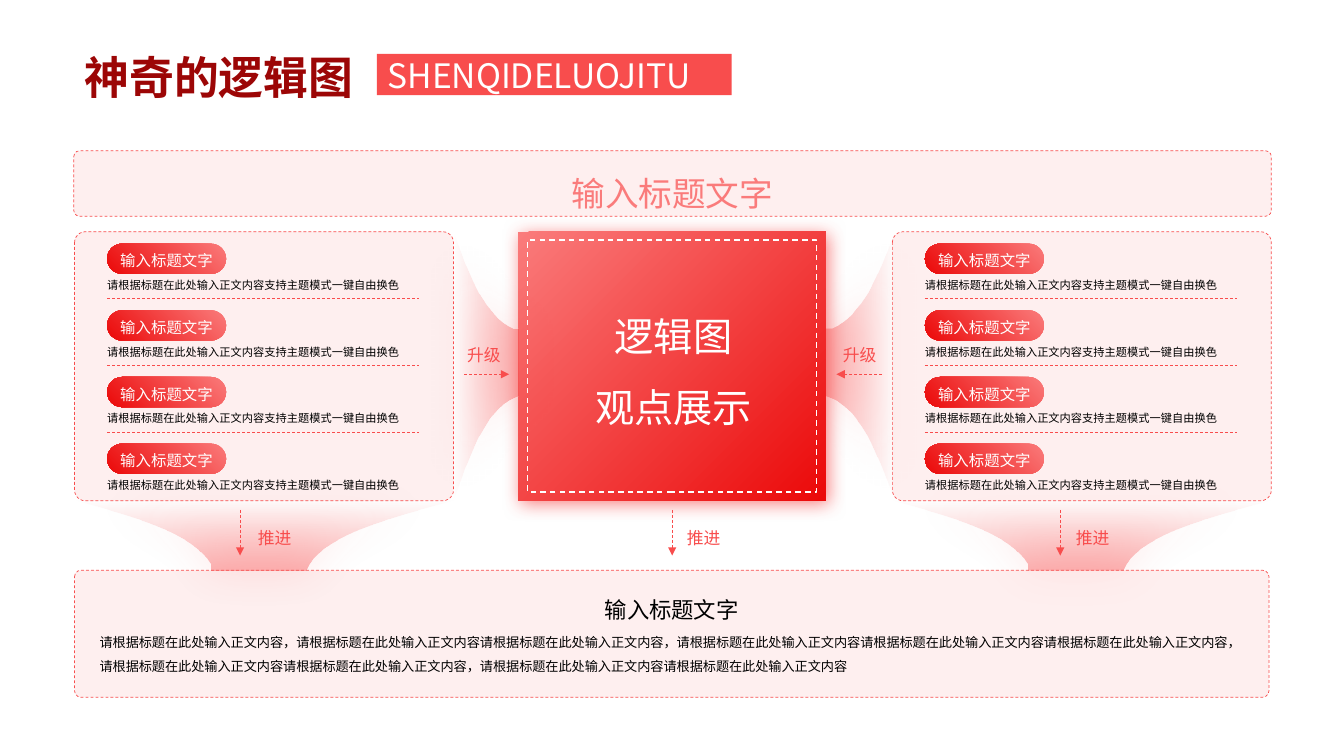
"""Build a red logic-diagram slide with two side panels feeding a central square."""
from lxml import etree
from pptx import Presentation
from pptx.dml.color import RGBColor
from pptx.enum.dml import MSO_LINE
from pptx.enum.shapes import MSO_CONNECTOR, MSO_SHAPE
from pptx.enum.text import MSO_ANCHOR, PP_ALIGN
from pptx.oxml import parse_xml
from pptx.oxml.ns import nsdecls, qn
from pptx.util import Cm, Pt

RECTANGLE, ROUNDED = MSO_SHAPE.RECTANGLE, MSO_SHAPE.ROUNDED_RECTANGLE
STRAIGHT, DASH = MSO_CONNECTOR.STRAIGHT, MSO_LINE.DASH
LEFT, CENTER = PP_ALIGN.LEFT, PP_ALIGN.CENTER
TOP, MIDDLE = MSO_ANCHOR.TOP, MSO_ANCHOR.MIDDLE
SC, JP = "Noto Sans CJK SC", "Noto Sans CJK JP"
RED, LIGHT_RED, DEEP_RED, DARK_RED = "F84D4D", "FA7B7B", "EB0909", "9C0606"
PINK, WHITE, BLACK = "FEDBDB", "FFFFFF", "000000"

TITLE, TITLE_TAG = "神奇的逻辑图", "SHENQIDELUOJITU"
HEADING = "输入标题文字"
CENTER_LINES = ["逻辑图", "观点展示"]
ROW_TEXT = "请根据标题在此处输入正文内容支持主题模式一键自由换色"
BODY = (
    "请根据标题在此处输入正文内容，请根据标题在此处输入正文内容"
    "请根据标题在此处输入正文内容，请根据标题在此处输入正文内容"
    "请根据标题在此处输入正文内容请根据标题在此处输入正文内容，"
    "请根据标题在此处输入正文内容请根据标题在此处输入正文内容，"
    "请根据标题在此处输入正文内容请根据标题在此处输入正文内容"
)
ROW_COUNT, ROW_TOP, ROW_PITCH = 4, 6.14, 1.68
PANEL_TOP, PANEL_WIDTH, PANEL_HEIGHT = 5.84, 9.55, 6.78
PANELS = [(1.88, 0.04), (22.49, 0.04)]
SQUARE = (13.06, PANEL_TOP, 7.75, PANEL_HEIGHT)
SQUARE_FRAME = (13.3, 6.05, 7.28, 6.35)
HEADER_BAR = (1.86, 3.8, 30.18, 1.65)
FOOTER_BAR = (1.88, 14.37, 30.1, 3.2)
RIGHT_FUNNELS = [
    ((22.55, 5.84), (-1.75, 0), (0, 6.78), 0),
    ((22.48, 12.62), (0, 1.75), (9.55, 0), 270),
]
LEFT_FUNNELS = [
    ((1.88, 12.62), (0, 1.75), (9.55, 0), 270),
    ((11.43, 5.84), (1.63, 0), (0, 6.78), 180),
]
FUNNEL_OUTLINE = [
    (0, 0), (0, 0.5), (0, 1),
    (0.26, 0.82), (0.48, 0.67), (0.9, 0.62),
    (1, 0.61), (1, 0.36), (0.9, 0.36),
    (0.48, 0.31), (0.26, 0.18), (0, 0),
]
CURVE_STARTS = (2, 8)
ARROWS = [
    ("升级", 11.56, 8.46, (11.7, 9.43, 12.83, 9.43)),
    ("升级", 21.03, 8.46, (22.23, 9.43, 21.08, 9.43)),
    ("推进", 6.29, 13.08, (6.05, 12.85, 6.05, 14)),
    ("推进", 17.1, 13.08, (16.94, 12.85, 16.94, 14)),
    ("推进", 26.9, 13.08, (26.72, 12.85, 26.72, 14)),
]

presentation = Presentation()
presentation.slide_width, presentation.slide_height = Cm(33.87), Cm(19.05)
slide = presentation.slides.add_slide(presentation.slide_layouts[6])


def color(hex_string):
    return RGBColor.from_string(hex_string)


def set_line(line, line_color, width):
    line.color.rgb = color(line_color)
    line.width = Pt(width)
    line.dash_style = DASH


def set_gradient(shape, stops, angle):
    stop_xml = "".join(
        f'<a:gs pos="{position * 1000}"><a:srgbClr val="{value}">'
        f'<a:alpha val="{alpha * 1000}"/></a:srgbClr></a:gs>'
        for position, value, alpha in stops
    )
    properties = shape._element.spPr
    shape.fill.background()
    empty_fill = properties.find(qn("a:noFill"))
    gradient = parse_xml(
        f'<a:gradFill {nsdecls("a")} rotWithShape="1"><a:gsLst>{stop_xml}</a:gsLst>'
        f'<a:lin ang="{angle * 60000}" scaled="0"/></a:gradFill>'
    )
    properties.replace(empty_fill, gradient)


def set_shadow(shape, alpha, blur, distance, angle):
    effects = shape._element.spPr.find(qn("a:effectLst"))
    effects.append(parse_xml(
        f'<a:outerShdw {nsdecls("a")} blurRad="{Pt(blur)}" dist="{Pt(distance)}" '
        f'dir="{angle * 60000}" algn="ctr" rotWithShape="0"><a:srgbClr val="{RED}">'
        f'<a:alpha val="{alpha * 1000}"/></a:srgbClr></a:outerShdw>'
    ))


def add_box(kind, box, fill=None, alpha=100, line=None, line_width=0.5, corner=None):
    shape = slide.shapes.add_shape(kind, *map(Cm, box))
    shape.shadow.inherit = False
    if corner is not None:
        shape.adjustments[0] = corner
    if fill:
        shape.fill.solid()
        shape.fill.fore_color.rgb = color(fill)
        if alpha < 100:
            value = shape._element.spPr.find(qn("a:solidFill"))[0]
            etree.SubElement(value, qn("a:alpha")).set("val", str(alpha * 1000))
    else:
        shape.fill.background()
    if line:
        set_line(shape.line, line, line_width)
    else:
        shape.line.fill.background()
    return shape


def add_text(text, box=None, shape=None, size=12, font=JP, text_color=BLACK, bold=False,
             align=CENTER, anchor=MIDDLE, spacing=1.5, margins=(0, 0)):
    shape = shape or slide.shapes.add_textbox(*map(Cm, box))
    frame = shape.text_frame
    frame.word_wrap = True
    frame.vertical_anchor = anchor
    frame.margin_left = frame.margin_right = Cm(margins[0])
    frame.margin_top = frame.margin_bottom = Cm(margins[1])
    frame.text = text
    for paragraph in frame.paragraphs:
        paragraph.alignment = align
        paragraph.line_spacing = spacing
        for run in paragraph.runs:
            run.font.size, run.font.bold, run.font.name = Pt(size), bold, font
            run.font.color.rgb = color(text_color)
            etree.SubElement(run.font._element, qn("a:ea")).set("typeface", font)


def add_dashed_line(ends, arrow=False):
    connector = slide.shapes.add_connector(STRAIGHT, *map(Cm, ends))
    set_line(connector.line, RED, 0.5)
    properties = connector._element.spPr
    if arrow:
        etree.SubElement(properties.find(qn("a:ln")), qn("a:tailEnd")).set("type", "triangle")
    etree.SubElement(properties, qn("a:effectLst"))


def add_funnel(origin, along, across, angle):
    points = [
        tuple(Cm(origin[axis] + u * along[axis] + v * across[axis]) for axis in (0, 1))
        for u, v in FUNNEL_OUTLINE
    ]
    builder = slide.shapes.build_freeform(*points[0])
    builder.add_line_segments(points[1:], close=True)
    shape = builder.convert_to_shape()
    segments = list(shape._element.iter(qn("a:lnTo")))
    for start in CURVE_STARTS:
        first, *others = segments[start:start + 3]
        first.tag = qn("a:cubicBezTo")
        for segment in others:
            first.append(segment[0])
            segment.getparent().remove(segment)
    shape.shadow.inherit = False
    shape.line.fill.background()
    set_gradient(shape, [(0, RED, 43), (100, RED, 0)], angle)
    set_shadow(shape, 40, 30, 0, 0)


def add_panel(left, corner):
    add_box(ROUNDED, (left, PANEL_TOP, PANEL_WIDTH, PANEL_HEIGHT), PINK, 43, RED, corner=corner)
    row_left = left + 0.82
    for row in range(ROW_COUNT):
        top = ROW_TOP + row * ROW_PITCH
        add_text(ROW_TEXT, (row_left, top + 0.73, 7.52, 0.46), size=8, align=LEFT)
        if row < ROW_COUNT - 1:
            add_dashed_line((row_left, top + 1.39, row_left + 7.87, top + 1.39))
        pill = add_box(ROUNDED, (row_left, top, 3, 0.76), corner=0.5)
        set_gradient(pill, [(0, LIGHT_RED, 100), (100, DEEP_RED, 100)], 135)
        add_text(HEADING, shape=pill, size=11, text_color=WHITE, spacing=1.2)


for funnel in RIGHT_FUNNELS:
    add_funnel(*funnel)
square = add_box(RECTANGLE, SQUARE)
set_gradient(square, [(0, LIGHT_RED, 100), (100, DEEP_RED, 100)], 45)
set_shadow(square, 70, 13, 3, 45)
add_box(ROUNDED, FOOTER_BAR, PINK, 43, RED, corner=0.05)
add_text("\n".join(CENTER_LINES), (14.69, 7.37, 4.57, 3.38), size=28, font=SC,
         text_color=WHITE)
add_text(HEADING, (14.68, 14.71, 4.5, 0.94), size=16)
add_text(BODY, (2.51, 15.77, 28.85, 1.22), size=9.4, align=LEFT)
add_text(TITLE, (1.88, 1.12, 8.81, 1.63), size=32, font=SC, text_color=DARK_RED, bold=True,
         align=LEFT, anchor=TOP, spacing=1, margins=(0.25, 0.13))
add_box(RECTANGLE, (9.5, 1.36, 8.94, 1.04), RED)
add_text(TITLE_TAG, (9.52, 1.25, 8.94, 1.27), size=24, text_color=WHITE, align=LEFT,
         spacing=1, margins=(0.25, 0.13))
add_box(RECTANGLE, SQUARE_FRAME, line=WHITE, line_width=1)
for panel in PANELS:
    add_panel(*panel)
for funnel in LEFT_FUNNELS:
    add_funnel(*funnel)
for label, label_left, label_top, ends in ARROWS:
    add_dashed_line(ends, arrow=True)
    add_text(label, (label_left, label_top, 1.27, 0.69), text_color=RED)
add_box(ROUNDED, HEADER_BAR, PINK, 43, RED, corner=0.09)
add_text(HEADING, (11.7, 3.91, 10.49, 1.4), size=24, font=SC, text_color=LIGHT_RED)

presentation.save("out.pptx")
